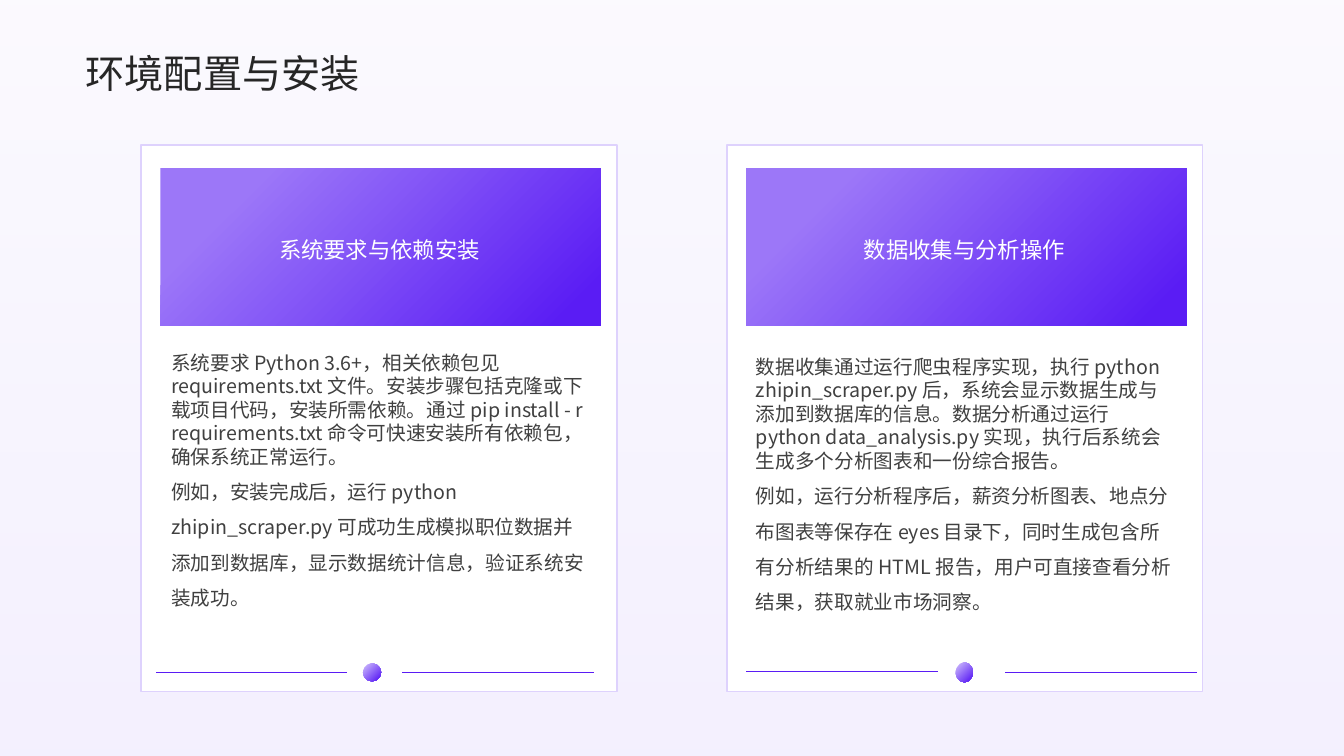
from dataclasses import dataclass

from lxml import etree
from pptx import Presentation
from pptx.dml.color import RGBColor
from pptx.enum.shapes import MSO_CONNECTOR, MSO_SHAPE
from pptx.enum.text import MSO_ANCHOR, PP_ALIGN
from pptx.oxml.ns import qn
from pptx.util import Inches, Pt

RECTANGLE = MSO_SHAPE.RECTANGLE
ROUNDED = MSO_SHAPE.ROUNDED_RECTANGLE
OVAL = MSO_SHAPE.OVAL
STRAIGHT = MSO_CONNECTOR.STRAIGHT
TOP, MIDDLE = MSO_ANCHOR.TOP, MSO_ANCHOR.MIDDLE
LEFT, CENTER = PP_ALIGN.LEFT, PP_ALIGN.CENTER


@dataclass(frozen=True)
class Theme:
    font: str = "Noto Sans CJK SC"
    title: str = "262626"
    body: str = "404040"
    white: str = "FFFFFF"
    lavender: str = "DED2FD"
    banner_start: str = "9C77F8"
    dot_start: str = "BDA4FB"
    violet: str = "5A1CF4"
    title_size: int = 28
    heading_size: int = 16
    body_size: int = 14


class SlideBuilder:
    def __init__(self, slide, theme):
        self.slide = slide
        self.theme = theme

    def shape(self, kind, left, top, width, height):
        shape = self.slide.shapes.add_shape(
            kind, Inches(left), Inches(top), Inches(width), Inches(height))
        shape.shadow.inherit = False
        shape.line.fill.background()
        return shape

    def solid(self, kind, box, color, outline):
        shape = self.shape(kind, *box)
        shape.fill.solid()
        shape.fill.fore_color.rgb = RGBColor.from_string(color)
        shape.line.color.rgb = RGBColor.from_string(outline)
        shape.line.width = Pt(1)

    def gradient(self, kind, box, stops, angle, opacities=()):
        shape = self.shape(kind, *box)
        if kind == ROUNDED:
            shape.adjustments[0] = 0
        shape.fill.gradient()
        shape.fill.gradient_angle = angle
        for stop, (position, color) in zip(shape.fill.gradient_stops, stops):
            stop.position = position
            stop.color.rgb = RGBColor.from_string(color)
        colors = shape._element.spPr.iter(qn("a:srgbClr"))
        for color, opacity in zip(list(colors), opacities):
            etree.SubElement(color, qn("a:alpha")).set("val", str(opacity * 1000))

    def line(self, start, end, y):
        connector = self.slide.shapes.add_connector(
            STRAIGHT, Inches(start), Inches(y), Inches(end), Inches(y))
        connector.line.color.rgb = RGBColor.from_string(self.theme.violet)
        connector.line.width = Pt(1)
        etree.SubElement(connector._element.spPr, qn("a:effectLst"))

    def text(self, box, paragraphs, size, color, anchor=MIDDLE, align=LEFT, inset=(0, 0)):
        shape = self.slide.shapes.add_textbox(*(Inches(value) for value in box))
        frame = shape.text_frame
        frame.word_wrap = True
        frame.vertical_anchor = anchor
        frame.margin_left = frame.margin_right = Inches(inset[0])
        frame.margin_top = frame.margin_bottom = Inches(inset[1])
        for index, (content, spacing) in enumerate(paragraphs):
            paragraph = frame.add_paragraph() if index else frame.paragraphs[0]
            paragraph.alignment = align
            paragraph.line_spacing = spacing
            run = paragraph.add_run()
            run.text = content
            run.font.size = Pt(size)
            run.font.color.rgb = RGBColor.from_string(color)
            run.font.name = self.theme.font
            east_asian = etree.SubElement(run.font._element, qn("a:ea"))
            east_asian.set("typeface", self.theme.font)

    def card(self, left, heading, body, body_box, dot, lines):
        theme = self.theme
        self.solid(RECTANGLE, (left, 1.44, 4.72, 5.42), theme.white, theme.lavender)
        self.gradient(ROUNDED, (left + 0.19, 1.67, 4.37, 1.56),
                      [(0.18, theme.banner_start), (0.93, theme.violet)], 315)
        self.text(body_box, zip(body, (1.0, 1.5)), theme.body_size, theme.body,
                  TOP, LEFT, (0.1, 0.05))
        self.text((body_box[0], 1.85, 4.33, 1.18), [(heading, 1.3)],
                  theme.heading_size, theme.white, MIDDLE, CENTER)
        self.gradient(OVAL, dot, [(0.18, theme.dot_start), (0.93, theme.violet)], 315)
        for start, end, y in lines:
            self.line(start, end, y)


CARDS = [
    dict(
        left=1.4,
        heading="系统要求与依赖安装",
        body=(
            "系统要求 Python 3.6+，相关依赖包见 requirements.txt 文件。安装步骤包括克隆或下载项目代码，"
            "安装所需依赖。通过 pip install - r requirements.txt 命令可快速安装所有依赖包，确保系统正常运行。",
            "例如，安装完成后，运行 python zhipin_scraper.py 可成功生成模拟职位数据并添加到数据库，"
            "显示数据统计信息，验证系统安装成功。",
        ),
        body_box=(1.6, 3.43, 4.33, 2.73),
        dot=(3.6, 6.58, 0.18, 0.18),
        lines=[(1.55, 3.44, 6.67), (3.99, 5.89, 6.67)],
    ),
    dict(
        left=7.21,
        heading="数据收集与分析操作",
        body=(
            "数据收集通过运行爬虫程序实现，执行 python zhipin_scraper.py 后，系统会显示数据生成与"
            "添加到数据库的信息。数据分析通过运行 python data_analysis.py 实现，"
            "执行后系统会生成多个分析图表和一份综合报告。",
            "例如，运行分析程序后，薪资分析图表、地点分布图表等保存在 eyes 目录下，"
            "同时生成包含所有分析结果的 HTML 报告，用户可直接查看分析结果，获取就业市场洞察。",
        ),
        body_box=(7.4, 3.47, 4.33, 2.69),
        dot=(9.48, 6.57, 0.17, 0.2),
        lines=[(7.4, 9.3, 6.66), (9.97, 11.87, 6.67)],
    ),
]


def main():
    presentation = Presentation()
    presentation.slide_width = Inches(13.33)
    presentation.slide_height = Inches(7.5)
    slide = presentation.slides.add_slide(presentation.slide_layouts[6])
    theme = Theme()
    builder = SlideBuilder(slide, theme)
    builder.gradient(RECTANGLE, (0, 0, 13.33, 7.5),
                     [(0, theme.lavender), (1, theme.lavender)], 90, (33, 11))
    for card in CARDS:
        builder.card(**card)
    builder.text((0.85, 0.44, 11.67, 0.51), [("环境配置与安装", 1.1)],
                 theme.title_size, theme.title)
    presentation.save("out.pptx")


if __name__ == "__main__":
    main()
